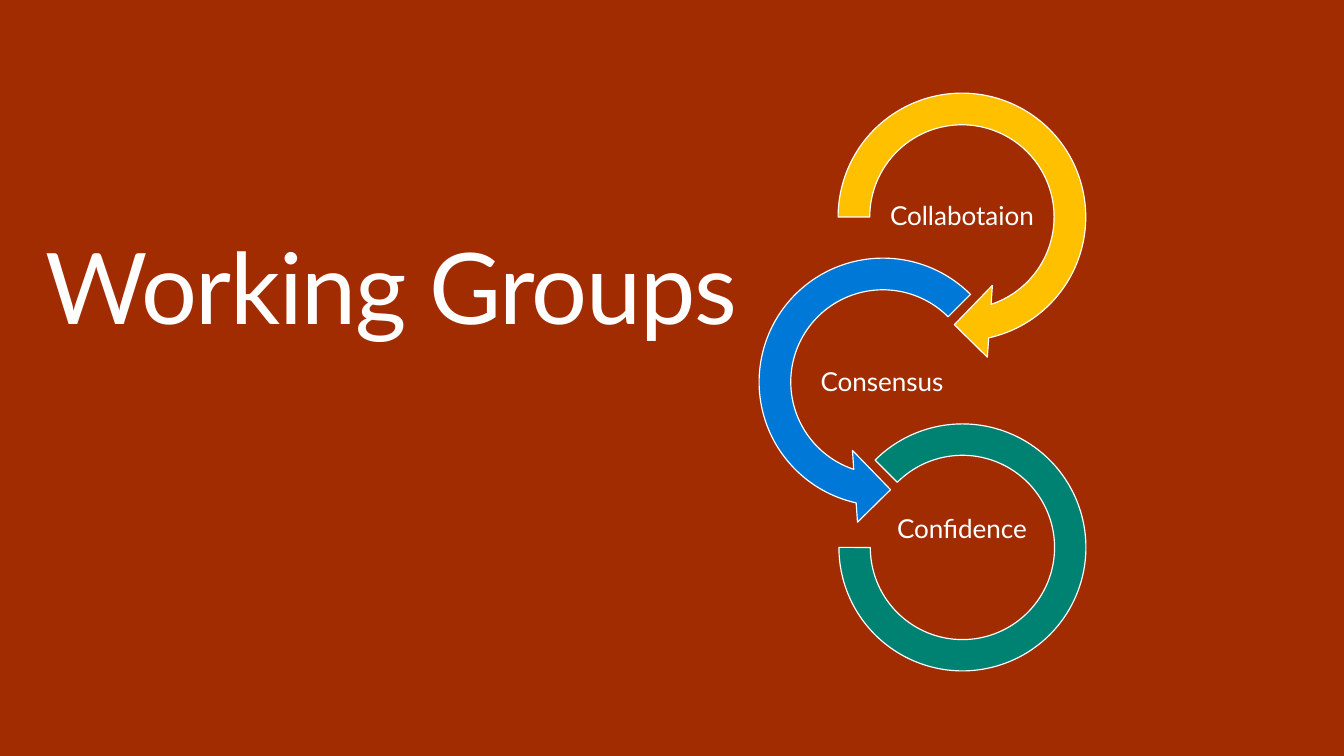
from pptx import Presentation
from pptx.dml.color import RGBColor
from pptx.enum.shapes import MSO_SHAPE
from pptx.enum.text import MSO_ANCHOR, MSO_AUTO_SIZE, PP_ALIGN
from pptx.util import Pt

PX = 9255  # EMU per pixel
WHITE = "FFFFFF"


def paint(color_format, color):
    color_format.rgb = RGBColor.from_string(color)


def write(box, text, size, align, anchor, margins, spacing=None):
    frame = box.text_frame
    frame.word_wrap = True
    frame.auto_size = MSO_AUTO_SIZE.NONE
    frame.vertical_anchor = anchor
    frame.margin_left = frame.margin_right = margins[0] * PX
    frame.margin_top = frame.margin_bottom = margins[1] * PX
    para = frame.paragraphs[0]
    para.alignment = align
    para.line_spacing = 0.9
    span = para.add_run()
    span.text = text
    span.font.name = "Lato"
    span.font.size = Pt(size)
    paint(span.font.color, WHITE)
    if spacing is not None:
        span.font._element.set("spc", str(spacing))


deck = Presentation()
deck.slide_width, deck.slide_height = 1344 * PX, 756 * PX
page = deck.slides.add_slide(deck.slide_layouts[5])

# Background
page.background.fill.solid()
paint(page.background.fill.fore_color, "A22C01")

# Title
title = page.shapes.title
title.left, title.top, title.width, title.height = 30 * PX, 229 * PX, 1284 * PX, 127 * PX
write(title, "Working Groups", 72, PP_ALIGN.LEFT, MSO_ANCHOR.TOP, (16, 10), spacing=-100)

# Chain of arrows: preset, left, top, size, adjustments, color, label, label left, label top
# Angles are in 60000ths of a degree, divided by 100000
links = [
    (MSO_SHAPE.CIRCULAR_ARROW, 818, 73, 288, (0.11, 11.423, 45, 108, 0.125),
     "FFC000", "Collabotaion", 882, 177),
    (MSO_SHAPE.LEFT_CIRCULAR_ARROW, 739, 238, 288, (0.11, 11.423, 63, 189, 0.125),
     "0078D7", "Consensus", 802, 343),
    (MSO_SHAPE.BLOCK_ARC, 839, 424, 247, (135, 108, 0.127),
     "008272", "Confidence", 882, 490),
]
for preset, left, top, size, adjustments, color, label, label_left, label_top in links:
    arrow = page.shapes.add_shape(preset, left * PX, top * PX, size * PX, size * PX)
    for index, value in enumerate(adjustments):
        arrow.adjustments[index] = value
    arrow.shadow.inherit = False
    arrow.fill.solid()
    paint(arrow.fill.fore_color, color)
    paint(arrow.line.color, WHITE)
    arrow.line.width = Pt(0.85)

    box = page.shapes.add_textbox(label_left * PX, label_top * PX, 160 * PX, 80 * PX)
    write(box, label, 19, PP_ALIGN.CENTER, MSO_ANCHOR.MIDDLE, (1, 1))

deck.save("out.pptx")
